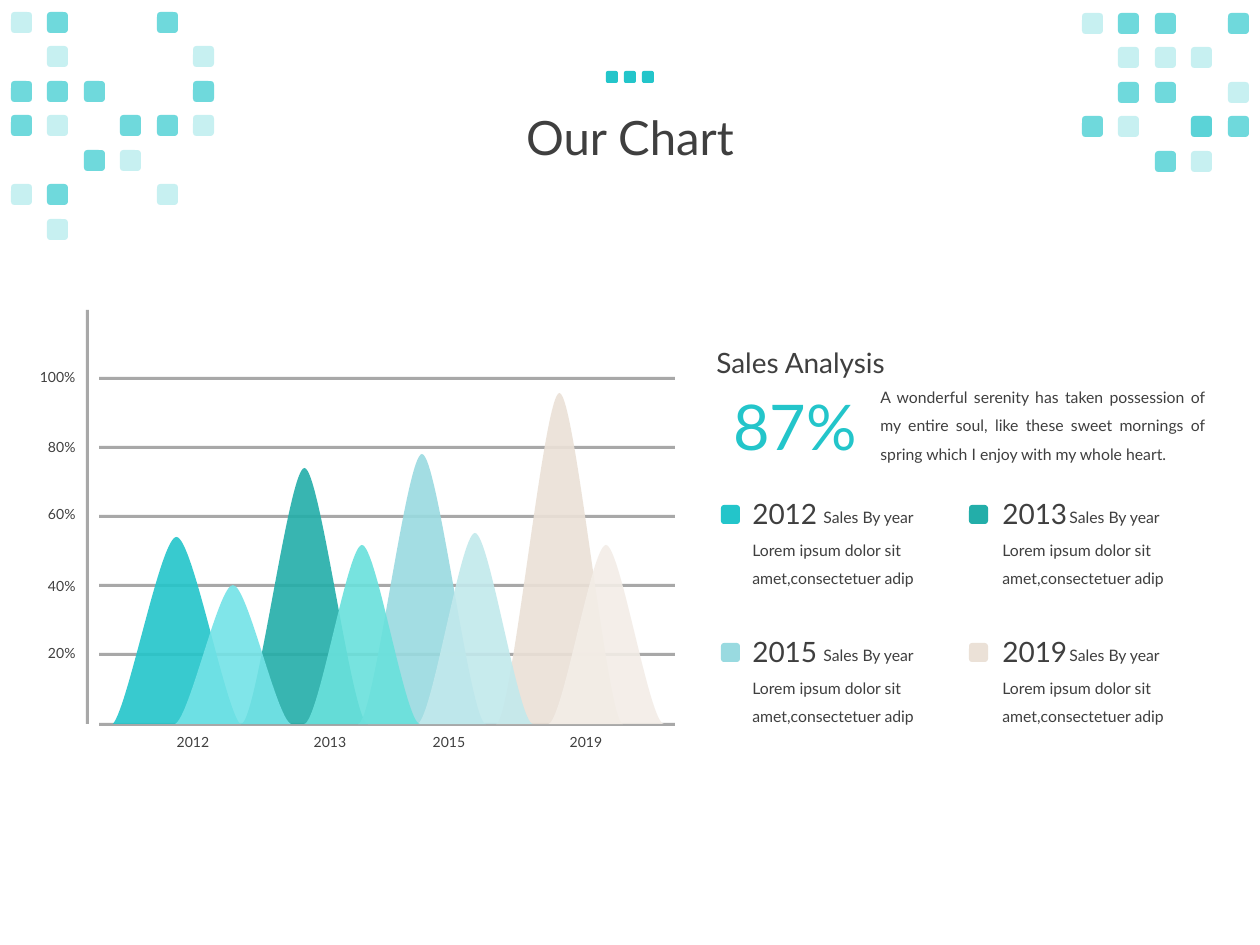
from lxml.etree import SubElement
from pptx import Presentation
from pptx.dml.color import RGBColor
from pptx.enum.shapes import MSO_SHAPE
from pptx.enum.text import MSO_ANCHOR, MSO_AUTO_SIZE, PP_ALIGN
from pptx.oxml.ns import qn
from pptx.util import Pt

PX = 914400 / 126
FONT, DARK, TEAL, GRAY = "Lato", "3F3F3F", "23C5CA", "9F9F9F"

# Peaks, back to front: left, width, top, foot lift, colour
PEAKS = [
    (113, 127, 537, 19, TEAL),
    (496, 127, 393, 0, "EBE1D7"),
    (241, 127, 468, 0, "23AEA9"),
    (358, 128, 454, 0, "99DAE0"),
    (175, 116, 585, 6, "73E3E7"),
    (548, 116, 545, 0, "F3EDE7"),
    (417, 116, 533, 0, "C2E9EC"),
    (304, 116, 545, 0, "69E1DC"),
]
BASE = 724
PERCENTS = [("100%", 362), ("80%", 432), ("60%", 499), ("40%", 571), ("20%", 638)]
YEARS = [("2012", 164), ("2013", 301), ("2015", 420), ("2019", 557)]

# Legend entries, row by row; columns are swatch, year and caption lefts
LEGEND = [("2012", TEAL), ("2013", "23AEA9"), ("2015", "99DAE0"), ("2019", "EBE1D7")]
LEGEND_COLS = [(721, 740, 811), (969, 990, 1057)]
CAPTION = "Sales By year"
DETAIL = "Lorem ipsum dolor sit amet,consectetuer adip"
SUMMARY = ("A wonderful serenity has taken possession of my entire soul, like these "
           "sweet mornings of spring which I enjoy with my whole heart.")

# Corner patterns: left, top, rows of squares
CORNERS = [
    (11, 12, ["+#..#.", ".+...+", "###..#", "#+.##+", "..#+..", "+#..+.", ".+...."]),
    (1082, 13, ["+##.#", ".+++.", ".##.+", "#+.*#", "..#+."]),
]
ALPHAS = {".": [], "+": [25], "#": [65], "*": [65, 25]}


def emu(px):
    return round(px * PX)


def color(value):
    return RGBColor.from_string(value)


def paint(sp, fill, alpha=100):
    sp.shadow.inherit = False
    sp.fill.solid()
    sp.fill.fore_color.rgb = color(fill)
    sp.line.fill.background()
    if alpha < 100:
        clr = sp.fill._xPr.find(".//" + qn("a:srgbClr"))
        SubElement(clr, qn("a:alpha")).set("val", str(alpha * 1000))


def box(shapes, kind, x, y, w, h, fill, alpha=100):
    paint(shapes.add_shape(kind, emu(x), emu(y), emu(w), emu(h)), fill, alpha)


def text(s, x, y, w, h, content, size, fill=DARK, align=PP_ALIGN.LEFT,
         spacing=None, wrap=True, grow=True, anchor=MSO_ANCHOR.TOP):
    tf = s.shapes.add_textbox(emu(x), emu(y), emu(w), emu(h)).text_frame
    tf.word_wrap = wrap
    tf.auto_size = MSO_AUTO_SIZE.SHAPE_TO_FIT_TEXT if grow else MSO_AUTO_SIZE.NONE
    tf.vertical_anchor = anchor
    tf.text = content
    p = tf.paragraphs[0]
    p.alignment = align
    if spacing:
        p.line_spacing = spacing
    font = p.runs[0].font
    font.name, font.size, font.color.rgb = FONT, Pt(size), color(fill)


def peak(s, x, w, top, lift, fill):
    """Bell outline: two Bezier curves that meet at the top."""
    mid, q = x + w / 2, w / 8
    foot = BASE - lift
    points = [(x + q, foot), (mid - q, top), (mid, top),
              (mid + q, top), (x + w - q, foot), (x + w, BASE)]
    fb = s.shapes.build_freeform(emu(x), emu(BASE))
    fb.add_line_segments([(emu(a), emu(b)) for a, b in points], close=True)
    sp = fb.convert_to_shape()
    # Turn every three straight segments into one curve
    path = sp._element.find(".//" + qn("a:path"))
    lines = path.findall(qn("a:lnTo"))
    for i in (0, 3):
        curve = SubElement(path, qn("a:cubicBezTo"))
        lines[i].addprevious(curve)
        for line in lines[i:i + 3]:
            curve.append(line[0])
            path.remove(line)
    paint(sp, fill, 90)


def main():
    prs = Presentation()
    prs.slide_width, prs.slide_height = emu(1260), emu(945)
    s = prs.slides.add_slide(prs.slide_layouts[6])
    rect, rounded = MSO_SHAPE.RECTANGLE, MSO_SHAPE.ROUNDED_RECTANGLE

    # Title
    text(s, 87, 49, 1086, 183, "Our Chart", 27, align=PP_ALIGN.CENTER,
         spacing=0.9, grow=False, anchor=MSO_ANCHOR.MIDDLE)

    # Grid lines, axis and peaks
    for i in range(6):
        box(s.shapes, rect, 99, 377 + 346 * i // 5, 576, 3, GRAY, 90)
    box(s.shapes, rect, 86, 310, 3, 414, GRAY, 90)
    for spec in PEAKS:
        peak(s, *spec)

    # Axis labels
    for label, y in PERCENTS:
        text(s, 26, y, 62, 30, label, 8, align=PP_ALIGN.RIGHT, wrap=False)
    for label, x in YEARS:
        text(s, x, 727, 58, 30, label, 8, align=PP_ALIGN.CENTER, wrap=False)

    # Analysis summary
    text(s, 704, 339, 205, 47, "Sales Analysis", 16, wrap=False)
    text(s, 868, 372, 349, 94, SUMMARY, 9, align=PP_ALIGN.JUSTIFY, spacing=1.5)
    text(s, 721, 381, 151, 89, "87%", 36, TEAL, wrap=False)

    # Legend
    for i, (year, fill) in enumerate(LEGEND):
        swatch_x, year_x, caption_x = LEGEND_COLS[i % 2]
        y = 490 + 138 * (i // 2)
        box(s.shapes, rounded, swatch_x, y + 15, 19, 19, fill)
        text(s, year_x, y, 107, 52, year, 16, grow=False)
        text(s, caption_x, y + 12, 141, 28, CAPTION, 9, grow=False)
        text(s, year_x, y + 35, 206, 67, DETAIL, 9, spacing=1.5)

    # Corner squares
    for left, top, rows in CORNERS:
        group = s.shapes.add_group_shape()
        for r, row in enumerate(rows):
            for c, mark in enumerate(row):
                for alpha in ALPHAS[mark]:
                    box(group.shapes, rounded, left + 73 * c // 2, top + 69 * r // 2,
                        21, 21, TEAL, alpha)

    # Dots above the title
    dots = s.shapes.add_group_shape()
    for i in range(3):
        box(dots.shapes, rounded, 606 + 18 * i, 71, 12, 12, TEAL)

    prs.save("out.pptx")


if __name__ == "__main__":
    main()
